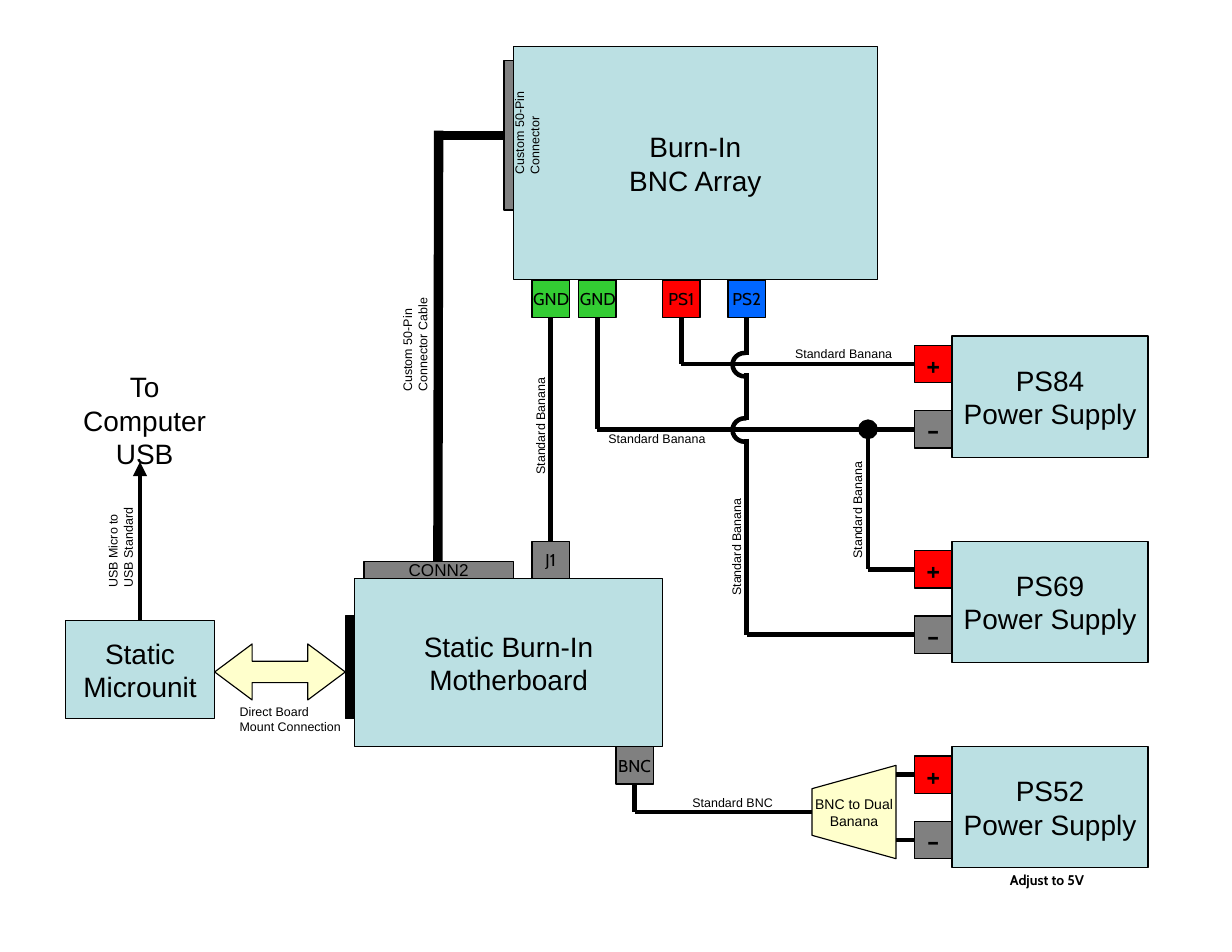
from dataclasses import dataclass
from itertools import pairwise

from lxml import etree
from pptx import Presentation
from pptx.dml.color import RGBColor
from pptx.enum.shapes import MSO_CONNECTOR, MSO_SHAPE
from pptx.enum.text import MSO_ANCHOR, MSO_AUTO_SIZE, PP_ALIGN
from pptx.oxml.ns import qn
from pptx.util import Pt

STRAIGHT = MSO_CONNECTOR.STRAIGHT
RECT, OVAL = MSO_SHAPE.RECTANGLE, MSO_SHAPE.OVAL
ARC, ARROW = MSO_SHAPE.BLOCK_ARC, MSO_SHAPE.LEFT_RIGHT_ARROW
TOP, MIDDLE = MSO_ANCHOR.TOP, MSO_ANCHOR.MIDDLE
GROW = MSO_AUTO_SIZE.SHAPE_TO_FIT_TEXT
LEFT, CENTER, RIGHT = PP_ALIGN.LEFT, PP_ALIGN.CENTER, PP_ALIGN.RIGHT


@dataclass(frozen=True)
class Theme:
    ink: str = "000000"
    board: str = "BBE0E3"
    adapter: str = "FFFFCC"
    gray: str = "808080"
    red: str = "FF0000"
    green: str = "33CC33"
    blue: str = "0066FF"
    sans: str = "Arial"
    port: str = "Cabin"
    heading: float = 18
    sign: float = 20
    tag: float = 11
    note: float = 9
    label: float = 8
    outline: float = 0.75
    wire: float = 3
    cable: float = 6
    port_side: float = 24


def write(sp, text, *, font, size, color, bold=False, align=CENTER, anchor=MIDDLE,
          inset=(0, 0), wrap=False, before=0, spacing=None):
    tf = sp.text_frame
    tf.word_wrap = wrap
    tf.vertical_anchor = anchor
    tf.margin_left = tf.margin_right = Pt(inset[0])
    tf.margin_top = tf.margin_bottom = Pt(inset[1])
    for i, line in enumerate(text.split("\n")):
        p = tf.paragraphs[0] if i == 0 else tf.add_paragraph()
        p.alignment = align
        p.space_before = Pt(before)
        if spacing:
            p.line_spacing = spacing
        r = p.add_run()
        r.text = line
        r.font.name, r.font.size, r.font.bold = font, Pt(size), bold
        r.font.color.rgb = RGBColor.from_string(color)


class Diagram:
    def __init__(self, slide, theme):
        self.slide, self.theme = slide, theme
        self.shapes = slide.shapes

    def open_group(self):
        self.shapes = self.slide.shapes.add_group_shape().shapes

    def close_group(self):
        self.shapes = self.slide.shapes

    def paint(self, sp, fill):
        sp.shadow.inherit = False
        sp.fill.solid()
        sp.fill.fore_color.rgb = RGBColor.from_string(fill)
        sp.line.color.rgb = RGBColor.from_string(self.theme.ink)
        sp.line.width = Pt(self.theme.outline)
        return sp

    def shape(self, kind, x, y, w, h, fill, adjust=()):
        sp = self.shapes.add_shape(kind, Pt(x), Pt(y), Pt(w), Pt(h))
        for i, value in enumerate(adjust):
            sp.adjustments[i] = value
        return self.paint(sp, fill)

    def board(self, text, x, y, w, h, fill=None, size=None):
        t = self.theme
        sp = self.shape(RECT, x, y, w, h, fill or t.board)
        write(sp, text, font=t.sans, size=size or t.heading, color=t.ink, inset=(7.2, 3.6))

    def port(self, text, x, y, fill, size=None, align=CENTER):
        t = self.theme
        sp = self.shape(RECT, x, y, t.port_side, t.port_side, fill)
        write(sp, text, font=t.port, size=size or t.tag, color=t.ink, align=align)

    def supply(self, name, y):
        t = self.theme
        self.open_group()
        self.board(f"{name}\nPower Supply", 612, y, 126, 78)
        self.port("+", 588, y + 6, t.red, t.sign)
        self.port("-", 588, y + 48, t.gray, t.sign)
        self.close_group()

    def adapter(self, text, corners):
        t = self.theme
        points = [(Pt(x), Pt(y)) for x, y in corners]
        builder = self.shapes.build_freeform(*points[0], scale=1.0)
        builder.add_line_segments(points[1:], close=True)
        sp = self.paint(builder.convert_to_shape(), t.adapter)
        write(sp, text, font=t.sans, size=t.note, color=t.ink)

    def wire(self, *points, width=None, arrow=False):
        t = self.theme
        for (x1, y1), (x2, y2) in pairwise(points):
            c = self.shapes.add_connector(STRAIGHT, Pt(x1), Pt(y1), Pt(x2), Pt(y2))
            c.line.color.rgb = RGBColor.from_string(t.ink)
            c.line.width = Pt(width or t.wire)
            if arrow:
                etree.SubElement(c.line._get_or_add_ln(), qn("a:tailEnd"), type="triangle")
            etree.SubElement(c._element.spPr, qn("a:effectLst"))

    def hop(self, x, y):
        sp = self.shape(ARC, x - 9.8, y - 8.6, 17.3, 18, self.theme.ink, (104.161, 3.839, 0.127))
        sp.rotation = 270

    def text(self, text, x, y, w, h, rotation=0, **style):
        t = self.theme
        sp = self.shapes.add_textbox(Pt(x), Pt(y), Pt(w), Pt(h))
        sp.rotation = rotation
        write(sp, text, **{"font": t.sans, "size": t.label, "color": t.ink, **style})
        return sp

    def label(self, text, x, y, rotation=0, w=96, h=17.3, **style):
        base = {"align": LEFT, "anchor": TOP, "inset": (7.2, 3.6), "wrap": True, "before": 5}
        sp = self.text(text, x, y, w, h, rotation, **{**base, **style})
        sp.text_frame.auto_size = GROW

    def caption(self, text, x, y, rotation=0):
        self.label(text, x, y, rotation, h=14.4, inset=(0, 0), spacing=0.5)


def draw_array(d):
    t = d.theme
    d.open_group()
    d.board("Burn-In\nBNC Array", 330, 30, 234, 150)
    for name, x, fill, align in (("GND", 342, t.green, RIGHT), ("GND", 372, t.green, RIGHT),
                                 ("PS2", 468, t.blue, CENTER), ("PS1", 426, t.red, CENTER)):
        d.port(name, x, 180, fill, align=align)
    d.close_group()


def draw_wiring(d):
    t = d.theme
    d.wire((438, 204), (438, 234), (588, 234))
    d.wire((384, 204), (384, 276), (588, 276))
    d.wire((480, 204), (480, 228))
    d.wire((480, 240), (480, 270))
    d.wire((480, 282), (480, 408), (588, 408))
    d.wire((558, 276), (558, 366), (588, 366))
    d.wire((408, 504), (408, 522), (522, 522))
    d.wire((354, 348), (354, 204))
    for y in (498, 540):
        d.wire((576, y), (588, y))
    for y in (234, 276):
        d.hop(480, y)
    d.shape(OVAL, 552, 270, 12, 12, t.ink)
    d.wire((281.5, 361), (282, 84), width=t.cable)
    d.wire((282, 87), (324, 87), width=t.cable)
    d.wire((90, 399), (90, 297), arrow=True)


def draw_motherboard(d):
    t = d.theme
    d.board("Static\nMicrounit", 42, 399, 96, 63)
    d.board("Static Burn-In\nMotherboard", 228, 372, 198, 108)
    d.shape(RECT, 222, 396, 6, 66, t.ink)
    d.board("CONN2", 234, 361, 96, 11, t.gray, t.tag)
    d.port("J1", 342, 348, t.gray)
    d.port("BNC", 396, 480, t.gray)
    d.shape(RECT, 324, 39, 6, 96, t.gray)
    d.shape(ARROW, 138, 414, 84, 36, t.adapter, (0.38, 0.67))


def draw_labels(d):
    t = d.theme
    for x, y, rotation in ((384, 273.6, 0), (425.5, 333.4, 270), (504, 218.9, 0),
                           (503.3, 309.6, 270), (299.5, 255.6, 270)):
        d.label("Standard Banana", x, y, rotation)
    d.label("Standard BNC", 438, 507.6)
    d.text("To Computer\nUSB", 42, 249, 102, 42, size=t.heading, inset=(7.2, 3.6))
    d.caption("USB Micro to\nUSB Standard", 31, 322.6, 270)
    d.caption("Custom 50-Pin\nConnector Cable", 220.3, 196.6, 270)
    d.caption("Direct Board\nMount Connection", 154, 456.5)
    d.caption("Custom 50-Pin\nConnector", 292.3, 56.9, 270)
    d.label("Adjust to 5V", 642.2, 556.6, w=74.2, h=18, font=t.port, size=t.note,
            bold=True, before=5.6)


def main():
    prs = Presentation()
    prs.slide_width, prs.slide_height = Pt(792), Pt(612)
    d = Diagram(prs.slides.add_slide(prs.slide_layouts[6]), Theme())
    draw_array(d)
    for name, y in (("PS84", 216), ("PS69", 348), ("PS52", 480)):
        d.supply(name, y)
    draw_motherboard(d)
    d.adapter("BNC to Dual\nBanana", ((576, 492), (576, 552), (522, 537), (522, 507)))
    draw_wiring(d)
    draw_labels(d)
    prs.save("out.pptx")


if __name__ == "__main__":
    main()
